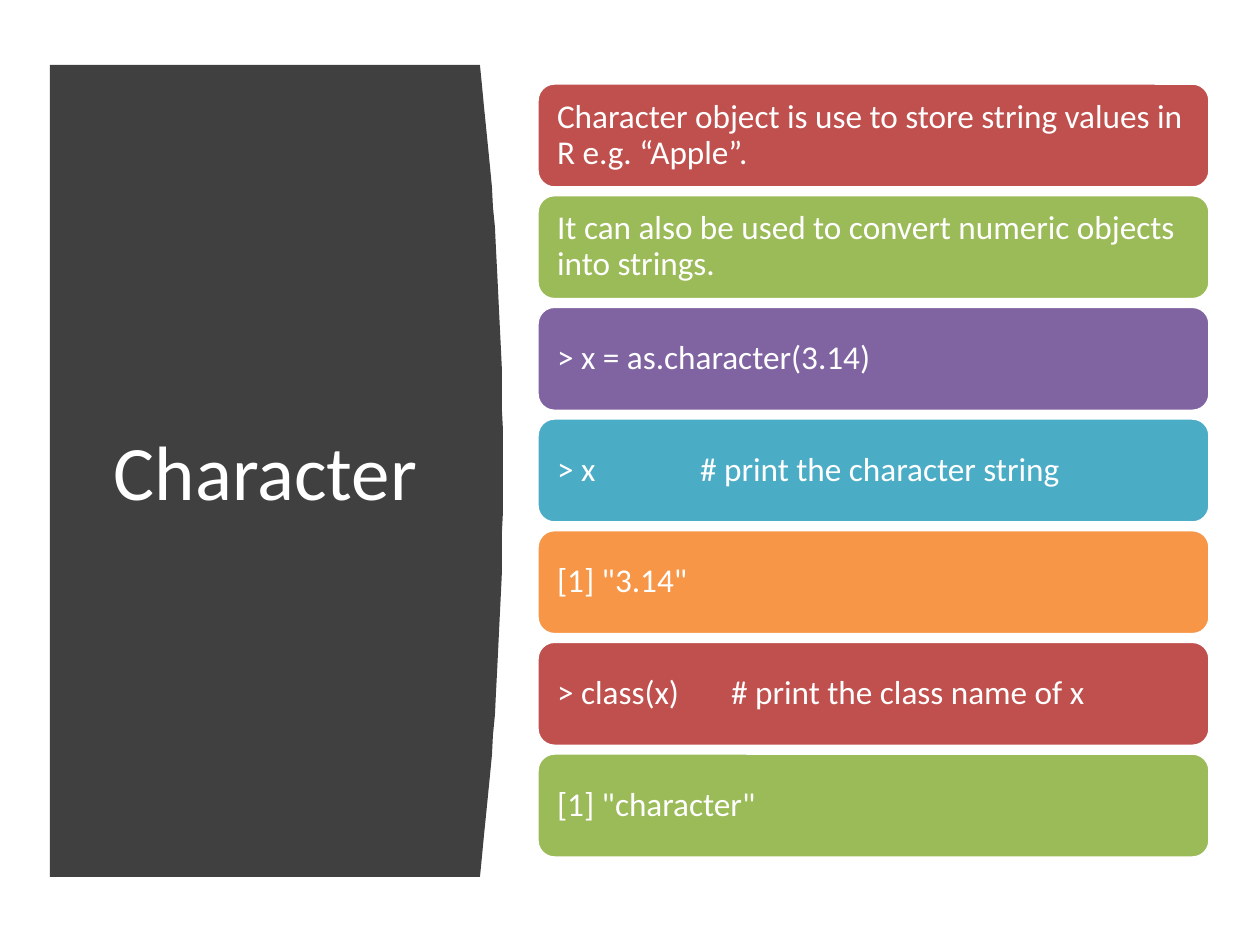
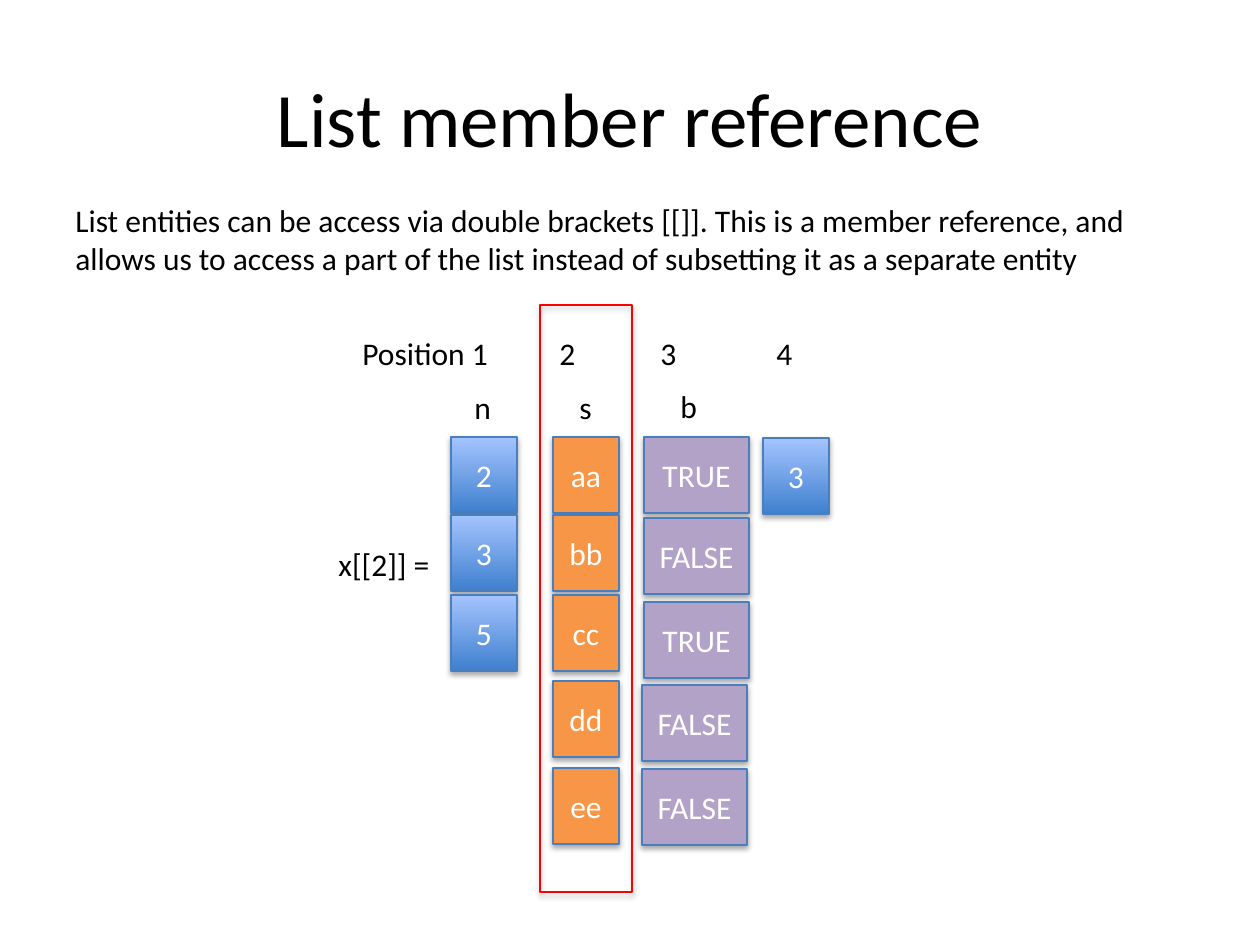
"""Builds two slides on R objects: character values and list member reference."""
import pptx
import pptx.util
import pptx.dml.color
import pptx.enum.shapes
import pptx.enum.text
import pptx.oxml
import pptx.oxml.ns
from dataclasses import dataclass

SCALE = 914400 / 126


@dataclass(frozen=True)
class Theme:
    font: str = "Calibri"
    white: str = "FFFFFF"
    black: str = "000000"
    panel: str = "404040"
    edge: str = "4B7EBC"
    frame: str = "FF0000"
    blue: tuple = ("3F80CE", "A4C4FF")
    orange: str = "F79646"
    lilac: str = "B3A2C7"
    bars: tuple = ("C0504D", "9BBB59", "8064A2", "4BACC6", "F79646")
    title: int = 44
    bar: int = 19
    body: int = 18


THEME = Theme()
SHAPE = pptx.enum.shapes.MSO_SHAPE
ALIGN = pptx.enum.text.PP_ALIGN
ANCHOR = pptx.enum.text.MSO_ANCHOR
SIZING = pptx.enum.text.MSO_AUTO_SIZE

BARS = [
    ("Character object is use to store string values in R e.g. “Apple”.", ()),
    ("It can also be used to convert numeric objects into strings.", ()),
    ("> x = as.character(3.14)", ()),
    ("> x\t# print the character string", (143,)),
    ('[1] "3.14"', ()),
    ("> class(x)\t# print the class name of x", (174,)),
    ('[1] "character"', ()),
]
BAR_BOX = (537, 83, 673, 775)
BAR_HIGH = 105
PANEL = (50, 65, 480, 877)
BULGE = 23

INTRO = ("List entities can be access via double brackets [[]]. This is a member reference, "
         "and allows us to access a part of the list instead of subsetting it as a separate entity")
ROW = "Position 1\t2\t3\t4"
ROW_TABS = (197, 298, 414)
LABELS = [
    ("n", (462, 382, 43, 50)),
    ("s", (567, 382, 38, 50)),
    ("b", (668, 381, 43, 50)),
    ("x[[2]] =", (326, 539, 117, 50)),
]
CELL_HIGH = 76
COLUMNS = [
    (451, 66, THEME.blue, [("2", 437), ("3", 515), ("5", 595)]),
    (553, 66, THEME.orange,
     [("aa", 437), ("bb", 515), ("cc", 595), ("dd", 681), ("ee", 768)]),
    (644, 105, THEME.lilac, [("TRUE", 437), ("FALSE", 518), ("TRUE", 602)]),
    (642, 105, THEME.lilac, [("FALSE", 685), ("FALSE", 769)]),
    (763, 66, THEME.blue, [("3", 438)]),
]
FRAME = (540, 305, 92, 587)


def px(num):
    return pptx.util.Emu(round(num * SCALE))


def rgb(code):
    return pptx.dml.color.RGBColor.from_string(code)


def write(shape, text, size, color, align=ALIGN.LEFT, tabs=()):
    frame = shape.text_frame
    frame.word_wrap = True
    frame.text = text
    para = frame.paragraphs[0]
    para.alignment = align
    if tabs:
        stops = "".join(f'<a:tab pos="{px(tab)}" algn="l"/>' for tab in tabs)
        para._p.get_or_add_pPr().append(pptx.oxml.parse_xml(
            f'<a:tabLst {pptx.oxml.ns.nsdecls("a")}>{stops}</a:tabLst>'))
    para.font.name = THEME.font
    para.font.size = pptx.util.Pt(size)
    para.font.color.rgb = rgb(color)
    return para


def paint(shape, fill, line, width):
    if fill is None:
        shape.fill.background()
    elif isinstance(fill, tuple):
        shape.fill.gradient()
        shape.fill.gradient_angle = 90
        for stop, code in zip(shape.fill.gradient_stops, fill):
            stop.color.rgb = rgb(code)
    else:
        shape.fill.solid()
        shape.fill.fore_color.rgb = rgb(fill)
    if line:
        shape.line.color.rgb = rgb(line)
        shape.line.width = pptx.util.Pt(width)
    else:
        shape.line.fill.background()
    shape.shadow.inherit = False


def shade(shape):
    effects = shape._element.spPr.find(pptx.oxml.ns.qn("a:effectLst"))
    effects.append(pptx.oxml.parse_xml(
        f'<a:outerShdw {pptx.oxml.ns.nsdecls("a")} blurRad="40000" dist="23000" '
        f'dir="5400000" rotWithShape="0"><a:srgbClr val="{THEME.black}">'
        '<a:alpha val="35000"/></a:srgbClr></a:outerShdw>'))


def block(slide, kind, box, fill, line, width):
    shape = slide.shapes.add_shape(kind, *map(px, box))
    paint(shape, fill, line, width)
    shape.text_frame.vertical_anchor = ANCHOR.MIDDLE
    return shape


def label(slide, text, box, tabs=(), wrap=False):
    shape = slide.shapes.add_textbox(*map(px, box))
    write(shape, text, THEME.body, THEME.black, tabs=tabs)
    shape.text_frame.word_wrap = wrap
    shape.text_frame.auto_size = SIZING.SHAPE_TO_FIT_TEXT


def start(deck, text, box, color):
    slide = deck.slides.add_slide(deck.slide_layouts[5])
    title = slide.shapes.title
    title.left, title.top, title.width, title.height = map(px, box)
    write(title, text, THEME.title, color, ALIGN.CENTER)
    title.text_frame.vertical_anchor = ANCHOR.MIDDLE
    title.text_frame.auto_size = SIZING.NONE
    return slide


def draw_panel(slide):
    left, top, right, bottom = PANEL
    steps = 40
    curve = []
    for step in range(steps + 1):
        part = step / steps
        bend = 1 - (2 * part - 1) ** 2
        curve.append((right + BULGE * bend, top + (bottom - top) * part))
    path = slide.shapes.build_freeform(left, top, scale=SCALE)
    path.add_line_segments(curve + [(left, bottom)], close=True)
    panel = path.convert_to_shape()
    paint(panel, THEME.panel, None, 0)
    panel.element.addnext(slide.shapes.title.element)


def build_character(deck):
    slide = start(deck, "Character", (89, 140, 353, 660), THEME.white)
    draw_panel(slide)
    left, top, width, height = BAR_BOX
    pitch = (height - BAR_HIGH) / (len(BARS) - 1)
    for num, (text, tabs) in enumerate(BARS):
        box = (left, top + num * pitch, width, BAR_HIGH)
        fill = THEME.bars[num % len(THEME.bars)]
        bar = block(slide, SHAPE.ROUNDED_RECTANGLE, box, fill, THEME.white, 2)
        bar.text_frame.margin_left = bar.text_frame.margin_right = px(15)
        para = write(bar, text, THEME.bar, THEME.white, tabs=tabs)
        para.line_spacing = 0.9


def build_list(deck):
    slide = start(deck, "List member reference", (63, 38, 1134, 157), THEME.black)
    label(slide, INTRO, (63, 195, 1134, 89), wrap=True)
    for left, width, fill, cells in COLUMNS:
        for text, top in cells:
            box = (left, top, width, CELL_HIGH)
            cell = block(slide, SHAPE.RECTANGLE, box, fill, THEME.edge, 0.75)
            shade(cell)
            write(cell, text, THEME.body, THEME.white, ALIGN.CENTER)
    for text, box in LABELS:
        label(slide, text, box)
    label(slide, ROW, (350, 328, 464, 50), ROW_TABS, True)
    shade(block(slide, SHAPE.RECTANGLE, FRAME, None, THEME.frame, 0.75))


def main():
    deck = pptx.Presentation()
    deck.slide_width, deck.slide_height = px(1260), px(945)
    build_character(deck)
    build_list(deck)
    deck.save("out.pptx")


if __name__ == "__main__":
    main()
